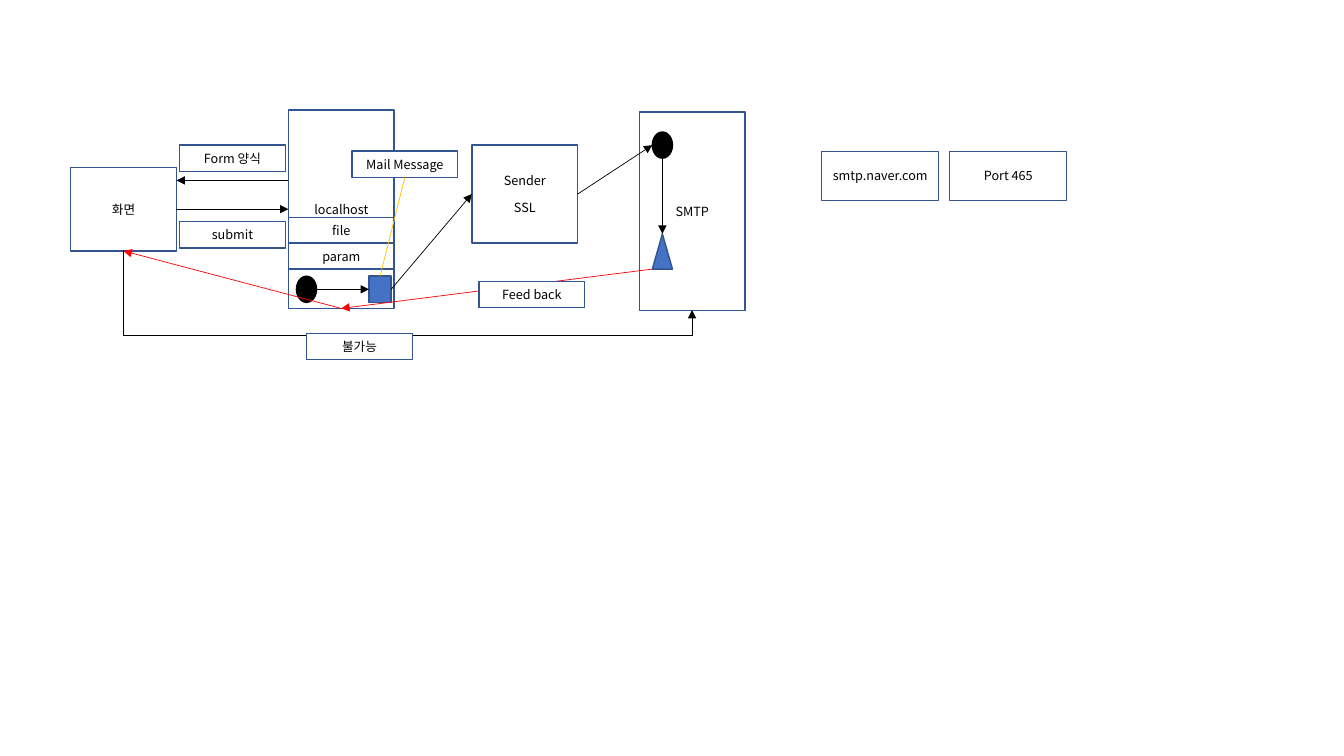
import pptx
import pptx.dml.color
import pptx.enum.shapes
import pptx.enum.text
import pptx.oxml.ns
import pptx.util
from lxml import etree

Inches = pptx.util.Inches
Pt = pptx.util.Pt
RGBColor = pptx.dml.color.RGBColor
MSO_SHAPE = pptx.enum.shapes.MSO_SHAPE
MSO_CONNECTOR = pptx.enum.shapes.MSO_CONNECTOR
qn = pptx.oxml.ns.qn

WHITE = RGBColor(0xFF, 0xFF, 0xFF)
BLACK = RGBColor(0x00, 0x00, 0x00)
NAVY = RGBColor(0x32, 0x54, 0x91)
BLUE = RGBColor(0x44, 0x72, 0xC4)
RED = RGBColor(0xFF, 0x00, 0x00)
AMBER = RGBColor(0xFF, 0xC0, 0x00)
FONT = "Noto Sans CJK KR"
TEXT_FORMAT = {"name": FONT, "size": Pt(9)}
TOP, LEFT, BOTTOM, RIGHT = 0, 1, 2, 3
BOX_W, LABEL_H = 1.05, 0.26

prs = pptx.Presentation()
prs.slide_width, prs.slide_height = Inches(13.33), Inches(7.5)
slide = prs.slides.add_slide(prs.slide_layouts[6])


def add_node(x, y, w, h, text="", kind=MSO_SHAPE.RECTANGLE, fill=WHITE, outline=NAVY):
    node = slide.shapes.add_shape(kind, Inches(x), Inches(y), Inches(w), Inches(h))
    node.shadow.inherit = False
    node.fill.solid()
    node.fill.fore_color.rgb = fill
    node.line.color.rgb = outline
    node.line.width = Pt(1)
    if text:
        frame = node.text_frame
        frame.word_wrap = True
        frame.margin_left = frame.margin_right = Inches(0.05)
        frame.vertical_anchor = pptx.enum.text.MSO_ANCHOR.MIDDLE
        for index, line in enumerate(text.split("\n")):
            paragraph = frame.add_paragraph() if index else frame.paragraphs[0]
            paragraph.alignment = pptx.enum.text.PP_ALIGN.CENTER
            if index:
                paragraph.space_before = Pt(8.4)
            run = paragraph.add_run()
            run.text = line
            for attribute, value in TEXT_FORMAT.items():
                setattr(run.font, attribute, value)
            run.font.color.rgb = BLACK
            etree.SubElement(run.font._element, qn("a:ea"), typeface=FONT)
    return node


def add_link(start, end, color=BLACK, arrow=True, kind=MSO_CONNECTOR.STRAIGHT):
    """Link two ends, each given as (x, y) in inches or as (node name, side)."""
    glued_start, glued_end = start[0] in nodes, end[0] in nodes
    x1, y1 = (0, 0) if glued_start else start
    x2, y2 = (0, 0) if glued_end else end
    link = slide.shapes.add_connector(kind, Inches(x1), Inches(y1), Inches(x2), Inches(y2))
    if glued_start:
        link.begin_connect(nodes[start[0]], start[1])
    if glued_end:
        link.end_connect(nodes[end[0]], end[1])
    link.line.color.rgb = color
    link.line.width = Pt(0.5)
    if arrow:
        etree.SubElement(link.line._get_or_add_ln(), qn("a:tailEnd"), type="triangle")
    etree.SubElement(link._element.spPr, qn("a:effectLst"))
    return link


# Systems and their parts
boxes = [
    ("screen", 0.7, 1.66, BOX_W, 0.83, "화면"),
    ("localhost", 2.86, 1.09, BOX_W, 1.97, "localhost"),
    ("smtp", 6.34, 1.11, BOX_W, 1.97, "SMTP"),
    ("file", 2.86, 2.16, BOX_W, LABEL_H, "file"),
    ("param", 2.86, 2.41, BOX_W, LABEL_H, "param"),
    ("mail", 3.49, 1.5, BOX_W, LABEL_H, "Mail Message"),
    ("sender", 4.68, 1.44, BOX_W, 0.97, "Sender\nSSL"),
    ("host", 8.15, 1.5, 1.16, 0.49, "smtp.naver.com"),
    ("port", 9.42, 1.5, 1.16, 0.49, "Port 465"),
]
nodes = {name: add_node(*box) for name, *box in boxes}

# Markers inside localhost and SMTP
for x, y in [(2.94, 2.74), (6.47, 1.31)]:
    add_node(x, y, 0.2, 0.26, kind=MSO_SHAPE.OVAL, fill=BLACK, outline=BLACK)
nodes["message"] = add_node(3.66, 2.74, 0.22, 0.26, fill=BLUE)
add_node(6.47, 2.32, 0.2, 0.35, kind=MSO_SHAPE.ISOSCELES_TRIANGLE, fill=BLUE)

# Direct route from the screen to SMTP, running below the boxes
detour = add_link(("screen", BOTTOM), ("smtp", BOTTOM), kind=MSO_CONNECTOR.ELBOW)
detour.left, detour.top = Inches(3.75), Inches(-0.04)
detour.width, detour.height = Inches(0.59), Inches(5.64)
detour_xfrm = detour._element.spPr.find(qn("a:xfrm"))
detour_xfrm.set("rot", "16200000")
detour_xfrm.set("flipH", "1")
geometry = detour._element.spPr.find(qn("a:prstGeom"))
adjustments = geometry.find(qn("a:avLst"))
if adjustments is None:
    adjustments = etree.SubElement(geometry, qn("a:avLst"))
etree.SubElement(adjustments, qn("a:gd"), name="adj1", fmla="val 142500")

# Request, mail and feedback flow
add_link(("screen", RIGHT), ("localhost", LEFT))
add_link((2.86, 1.79), (1.75, 1.79))
add_link((3.14, 2.87), ("message", LEFT))
add_link(("message", TOP), ("mail", BOTTOM), AMBER, arrow=False)
add_link(("message", RIGHT), ("sender", LEFT))
add_link(("sender", RIGHT), (6.47, 1.44))
add_link((6.57, 1.57), (6.57, 2.32))
add_link((6.47, 2.67), ("localhost", BOTTOM), RED)
add_link(("localhost", BOTTOM), ("screen", BOTTOM), RED)

# Labels on the flow
for x, y, text in [
    (1.78, 1.44, "Form 양식"),
    (1.78, 2.2, "submit"),
    (3.04, 3.31, "불가능"),
    (4.75, 2.79, "Feed back"),
]:
    add_node(x, y, BOX_W, LABEL_H, text)

prs.save("out.pptx")
